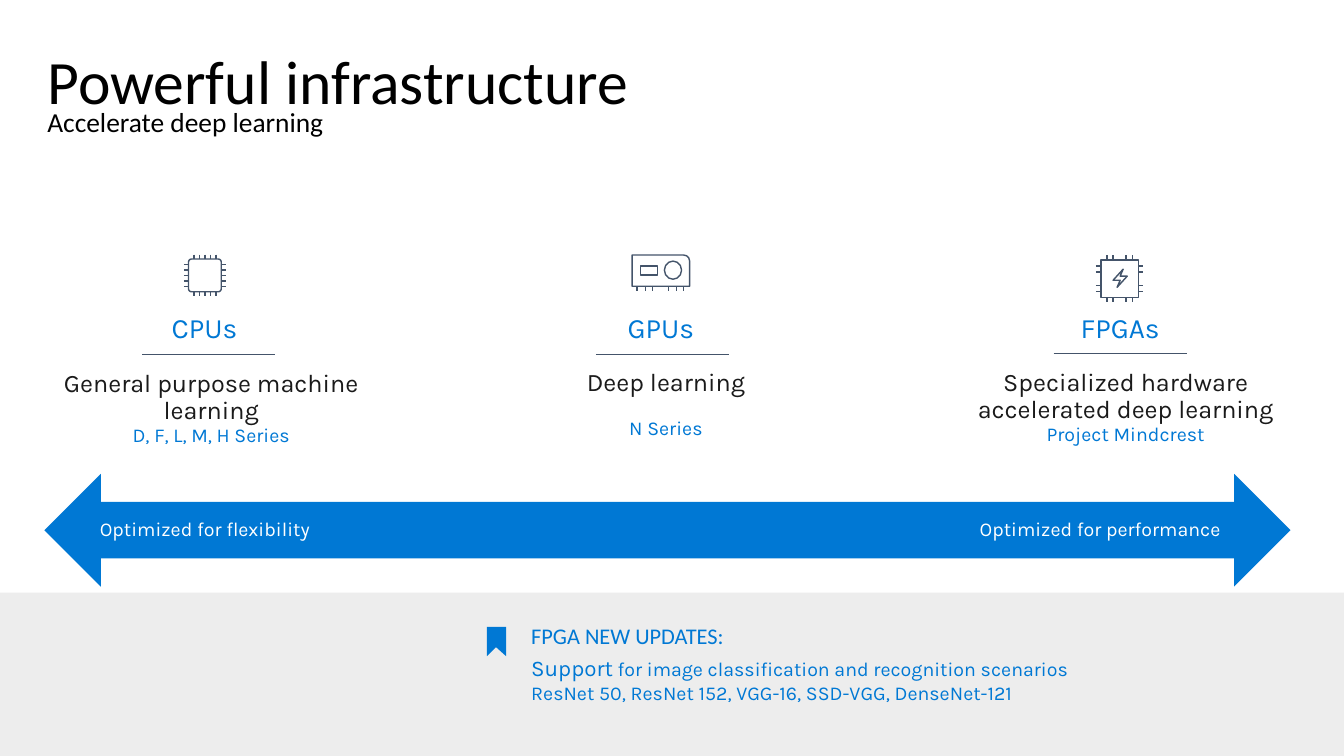
"""Build the slide that compares CPUs, GPUs and FPGAs for deep learning."""
from dataclasses import dataclass
from math import cos, pi, sin

from lxml.etree import SubElement
from pptx import Presentation
from pptx.dml.color import RGBColor
from pptx.enum.shapes import MSO_CONNECTOR, MSO_SHAPE
from pptx.enum.text import MSO_ANCHOR, MSO_AUTO_SIZE, PP_ALIGN
from pptx.oxml.ns import qn
from pptx.util import Inches, Pt

COLORS = {"blue": "0078D4", "ink": "1A1A1A", "line": "44546A",
          "band": "EDEDED", "white": "FFFFFF", "black": "000000"}
PAD = (0.2, 0.16, 0.2, 0.16)
NONE = (0, 0, 0, 0)


@dataclass
class Run:
    text: str
    size: float
    color: str = "blue"
    font: str = "Karla"


@dataclass
class Para:
    runs: list[Run]
    before: float = 0


@dataclass
class Column:
    name: str
    name_box: tuple
    rule: tuple
    text_box: tuple
    purpose: str
    series: str
    gap: float = 0


COLUMNS = [
    Column("CPUs", (1.53, 3.12, 1, 0.3), (1.41, 3.52), (0.19, 3.52, 3.81, 0.7),
           "General purpose machine learning", "D, F, L, M, H Series"),
    Column("GPUs", (6.16, 3.12, 0.79, 0.3), (5.91, 3.52), (4.7, 3.51, 3.81, 0.48),
           "Deep learning", "N Series", 15),
    Column("FPGAs", (10.69, 3.12, 0.84, 0.3), (10.45, 3.51), (9.45, 3.51, 3.43, 0.71),
           "Specialized hardware accelerated deep learning", "Project Mindcrest"),
]


def rgb(name: str) -> RGBColor:
    """Return a named colour."""
    return RGBColor.from_string(COLORS[name])


def write(sp, paras: list[Para], align=PP_ALIGN.LEFT, anchor=MSO_ANCHOR.TOP,
          insets: tuple = NONE, spacing: float = 0.9) -> None:
    """Fill a shape with formatted paragraphs."""
    tf = sp.text_frame
    tf.word_wrap, tf.auto_size, tf.vertical_anchor = True, MSO_AUTO_SIZE.NONE, anchor
    tf.margin_left, tf.margin_top, tf.margin_right, tf.margin_bottom = map(Inches, insets)
    for i, para in enumerate(paras):
        p = tf.add_paragraph() if i else tf.paragraphs[0]
        p.alignment, p.line_spacing = align, spacing
        p.space_before, p.space_after = Pt(para.before), Pt(0)
        for run in para.runs:
            r = p.add_run()
            r.text = run.text
            r.font.size, r.font.name = Pt(run.size), run.font
            r.font.color.rgb = rgb(run.color)


def add_text(shapes, box: tuple, paras: list[Para], **style) -> None:
    """Add a text box."""
    write(shapes.add_textbox(*map(Inches, box)), paras, **style)


def paint(sp, fill: str = "") -> None:
    """Fill a shape without a line, or outline it without a fill."""
    sp.shadow.inherit = False
    if fill:
        sp.fill.solid()
        sp.fill.fore_color.rgb = rgb(fill)
        sp.line.fill.background()
    else:
        sp.fill.background()
        sp.line.color.rgb = rgb("line")
        sp.line.width = Pt(1)


def add_shape(shapes, kind, box: tuple, fill: str = ""):
    """Add a preset shape."""
    sp = shapes.add_shape(kind, *map(Inches, box))
    paint(sp, fill)
    return sp


def add_line(shapes, x1: float, y1: float, x2: float, y2: float) -> None:
    """Add a thin straight line."""
    ln = shapes.add_connector(MSO_CONNECTOR.STRAIGHT, *map(Inches, (x1, y1, x2, y2)))
    ln.line.color.rgb = rgb("line")
    ln.line.width = Pt(1)
    SubElement(ln._element.spPr, qn("a:effectLst"))


def add_outline(shapes, points: list, fill: str = "", strokes: tuple = ()) -> None:
    """Add a closed freeform with optional loose strokes."""
    pts = [tuple(map(Inches, pt)) for pt in points]
    fb = shapes.build_freeform(*pts[0])
    fb.add_line_segments(pts[1:], close=True)
    for x1, y1, x2, y2 in strokes:
        fb.move_to(Inches(x1), Inches(y1))
        fb.add_line_segments([(Inches(x2), Inches(y2))], close=False)
    paint(fb.convert_to_shape(), fill)


def pins(box: tuple, offsets: list, length: float) -> list:
    """Return pin strokes on the four sides of a square chip."""
    x, y, w, h = box
    rows = [(a, y + d, a + length, y + d) for a in (x - length, x + w) for d in offsets]
    cols = [(x + d, b, x + d, b + length) for b in (y - length, y + h) for d in offsets]
    return rows + cols


def draw_cpu(shapes) -> None:
    """Draw the rounded chip."""
    x, y, side, rad = 1.87, 2.57, 0.325, 0.03
    corners = [(x + side - rad, y + side - rad), (x + rad, y + side - rad),
               (x + rad, y + rad), (x + side - rad, y + rad)]
    points = [(cx + rad * cos(t), cy + rad * sin(t))
              for q, (cx, cy) in enumerate(corners)
              for t in (pi / 2 * (q + k / 4) for k in range(5))]
    offsets = [0.055 + 0.054 * i for i in range(5)]
    add_outline(shapes, points, strokes=pins((x, y, side, side), offsets, 0.045))


def draw_gpu(shapes) -> None:
    """Draw the graphics card."""
    g = shapes.add_group_shape().shapes
    card = add_shape(g, MSO_SHAPE.ROUND_1_RECTANGLE, (6.27, 2.53, 0.57, 0.31))
    card.adjustments[0] = 0.193
    for x in (6.32, 6.4, 6.47, 6.63, 6.71, 6.78):
        add_line(g, x, 2.84, x, 2.89)
    add_shape(g, MSO_SHAPE.OVAL, (6.59, 2.59, 0.17, 0.18))
    add_shape(g, MSO_SHAPE.RECTANGLE, (6.35, 2.64, 0.17, 0.09))


def draw_fpga(shapes) -> None:
    """Draw the chip with a lightning bolt."""
    g = shapes.add_group_shape().shapes
    box = (10.92, 2.58, 0.37, 0.37)
    add_shape(g, MSO_SHAPE.RECTANGLE, box)
    for pin in pins(box, [0.06, 0.12, 0.25, 0.31], 0.05):
        add_line(g, *pin)
    add_outline(g, [(11.14, 2.67), (11.11, 2.74), (11.18, 2.74),
                    (11.08, 2.85), (11.11, 2.78), (11.04, 2.78)])


def fill_placeholder(sp, box: tuple, run: Run, insets: tuple = NONE) -> None:
    """Place a template placeholder and write one unbulleted line in it."""
    sp.left, sp.top, sp.width, sp.height = map(Inches, box)
    write(sp, [Para([run])], insets=insets)
    pPr = sp.text_frame.paragraphs[0]._p.get_or_add_pPr()
    pPr.set("marL", "0")
    pPr.set("indent", "0")
    SubElement(pPr, qn("a:buNone"))


def main() -> None:
    """Build and save the slide."""
    prs = Presentation()
    prs.slide_width, prs.slide_height = Inches(13.33), Inches(7.5)
    s = prs.slides.add_slide(prs.slide_layouts[1])
    fill_placeholder(s.shapes.title, (0.47, 0.33, 12.4, 0.83),
                     Run("Powerful infrastructure", 44, "black", "Calibri"), (0, 0.18, 0, 0))
    fill_placeholder(s.placeholders[1], (0.47, 1.08, 12.4, 0.3),
                     Run("Accelerate deep learning", 19.6, "black", "Calibri"))

    add_shape(s.shapes, MSO_SHAPE.LEFT_RIGHT_ARROW, (0.44, 4.7, 12.36, 1.12), "blue")
    for text, box, align in (
            ("Optimized for flexibility", (0.99, 5.15, 3.49, 0.21), PP_ALIGN.LEFT),
            ("Optimized for performance", (9.45, 5.15, 2.66, 0.21), PP_ALIGN.RIGHT)):
        add_text(s.shapes, box, [Para([Run(text, 14, "white")])],
                 align=align, anchor=MSO_ANCHOR.MIDDLE)

    for col, draw_icon in zip(COLUMNS, (draw_cpu, draw_gpu, draw_fpga)):
        draw_icon(s.shapes)
        add_text(s.shapes, col.name_box, [Para([Run(col.name, 20)])],
                 align=PP_ALIGN.CENTER, anchor=MSO_ANCHOR.MIDDLE)
        add_text(s.shapes, col.text_box,
                 [Para([Run(col.purpose, 18, "ink")]), Para([Run(col.series, 14)], col.gap)],
                 align=PP_ALIGN.CENTER, insets=PAD)
        x, y = col.rule
        add_line(s.shapes, x, y, x + 1.32, y)

    add_shape(s.shapes, MSO_SHAPE.RECTANGLE, (0, 5.88, 13.33, 1.62), "band")
    g = s.shapes.add_group_shape().shapes
    add_text(g, (5.17, 6.49, 7.95, 0.5), [
        Para([Run("Support", 16),
              Run(" for image classification and recognition scenarios", 14)]),
        Para([Run("ResNet 50, ResNet 152, VGG-16, SSD-VGG, DenseNet-121", 14)]),
    ], insets=(0.1, 0, 0, 0), spacing=1.0)
    add_text(g, (5.17, 6.12, 7.95, 0.38),
             [Para([Run("FPGA NEW UPDATES:", 16, font="Calibri")])],
             insets=(0.1, 0.05, 0.1, 0.05), spacing=1.0)
    add_outline(s.shapes, [(4.83, 6.22), (5.02, 6.22), (5.02, 6.51),
                           (4.92, 6.42), (4.83, 6.51)], "blue")
    prs.save("out.pptx")


if __name__ == "__main__":
    main()
